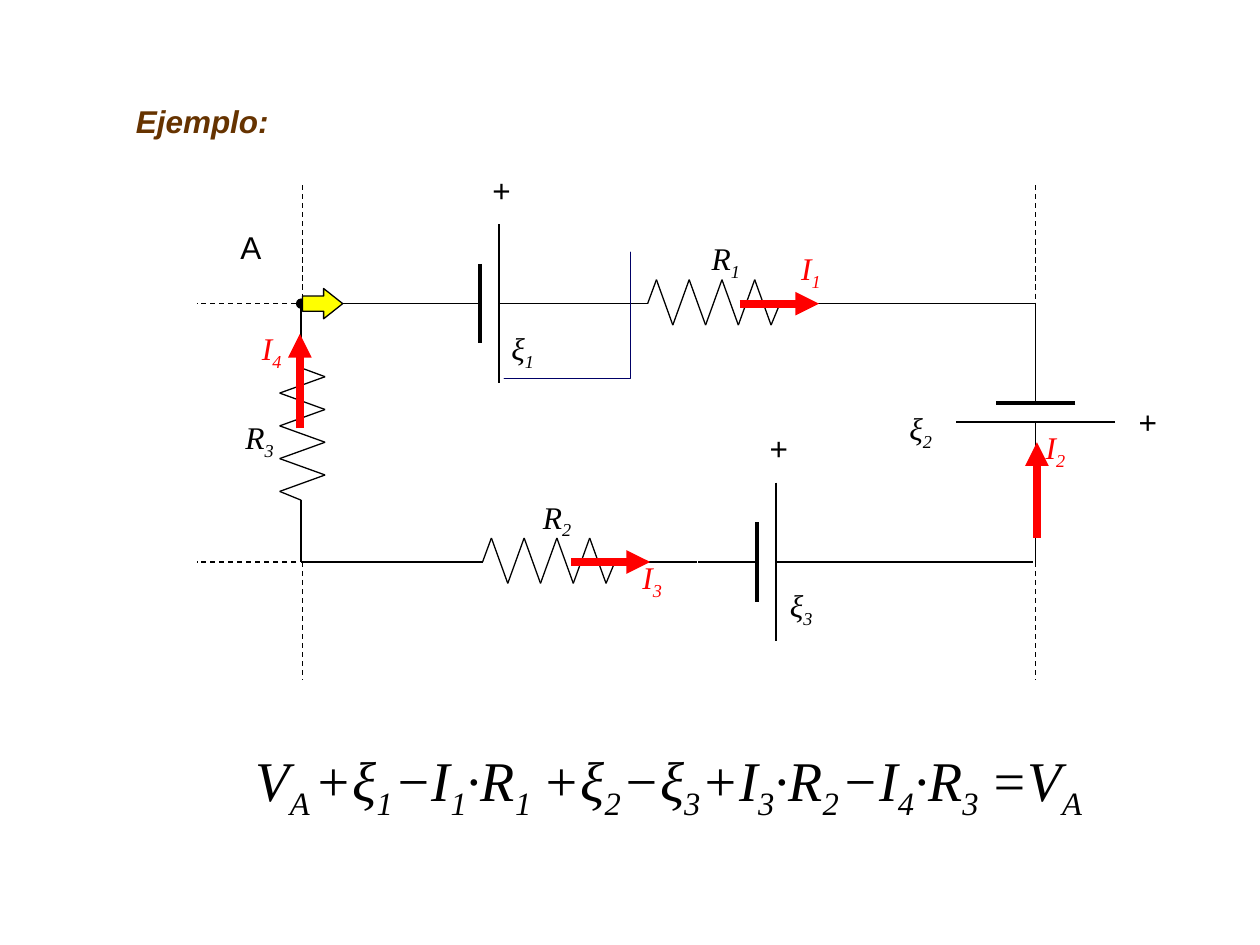
from itertools import pairwise

from lxml.etree import SubElement
from pptx import Presentation
from pptx.dml.color import RGBColor
from pptx.enum.dml import MSO_LINE
from pptx.enum.shapes import MSO_CONNECTOR, MSO_SHAPE
from pptx.oxml.ns import qn
from pptx.util import Inches, Pt

BLACK, RED, BROWN, NAVY, YELLOW = "000000", "FF0000", "663300", "000066", "FFFF00"
SERIF, SANS = "Times New Roman", "Arial"

# Circuit frame: left and right branches, top and bottom branches
LEFT, RIGHT, TOP, BOTTOM = 2.39, 8.22, 2.41, 4.46

# Parts: entry point and direction of travel
RESISTORS = [((4.95, TOP), "right"), ((LEFT, 2.73), "down"), ((3.64, BOTTOM), "right")]
BATTERIES = [((3.34, TOP), "right"), ((RIGHT, 2.73), "down"), ((5.54, BOTTOM), "right")]
WIRES = [
    ((LEFT, TOP), (3.81, TOP)), ((3.97, TOP), (5.07, TOP)), ((6.17, TOP), (RIGHT, TOP)),
    ((RIGHT, TOP), (RIGHT, 2.73)), ((RIGHT, 3.67), (RIGHT, BOTTOM)),
    ((6.63, BOTTOM), (8.2, BOTTOM)), ((5.53, BOTTOM), (5.06, BOTTOM)),
    ((3.64, BOTTOM), (LEFT, BOTTOM)), ((LEFT, BOTTOM), (LEFT, 4.15)),
]
CURRENTS = [
    ((5.87, TOP), (6.5, TOP)), ((4.53, BOTTOM), (5.16, BOTTOM)),
    ((8.23, 4.27), (8.23, 3.51)), ((2.38, 3.4), (2.38, 2.65)),
]
# Outer branches: the network goes on beyond the loop
BRANCHES = [((2.35, y), (1.56, y)) for y in (TOP, BOTTOM)] + [
    ((x, y), (x, y + 0.94)) for x in (2.4, RIGHT) for y in (BOTTOM, 1.47)
]
# Loop sketch: start, then control, control and end point of each curve
LOOP_START = (4.87, 2.45)
LOOP_CURVES = [
    ((4.62, 2.38), (4.45, 3.64), (4.45, 3.43)),
    ((4.45, 3.17), (4.73, 2.96), (5.08, 2.96)),
    ((3.51, 2.96), (3.8, 3.17), (3.8, 3.43)),
    ((3.8, 3.66), (3.58, 2.42), (5.2, 2.46)),
]

# Labels: text ("_" lowers the next character), left, top
PART_LABELS = [
    ("R_1", 5.55, 1.85), ("R_3", 1.85, 3.27), ("R_2", 4.21, 3.9),
    ("ξ_1", 3.96, 2.56), ("ξ_2", 7.12, 3.2), ("ξ_3", 6.17, 4.6),
]
CURRENT_LABELS = [("I_1", 6.26, 1.93), ("I_3", 5, 4.38), ("I_2", 8.2, 3.35), ("I_4", 1.98, 2.56)]
PLUS_SIGNS = [(3.81, 1.31, 0), (8.73, 3.39, 90), (6.01, 3.36, 0)]
# Equation terms: text, left, width
EQUATION = [
    ("V_A", 1.93, 0.95), ("+ξ_1", 2.4, 0.95), ("−I_1·R_1", 3.03, 1.73),
    ("+ξ_2", 4.21, 1.02), ("−ξ_3", 4.84, 1.02), ("+I_3·R_2", 5.47, 1.57),
    ("−I_4·R_3", 6.58, 1.57), ("=V_A", 7.76, 1.57),
]

deck = Presentation()
deck.slide_width, deck.slide_height = Inches(10), Inches(7.5)
page = deck.slides.add_slide(deck.slide_layouts[6])


def rgb(color):
    return RGBColor.from_string(color)


def style_line(line, color, width, head=None, size="med"):
    line.color.rgb = rgb(color)
    line.width = Pt(width)
    if head:
        outline = line._get_or_add_ln()
        SubElement(outline, qn("a:tailEnd"), type=head, w=size, len=size)


def add_line(start, end, color=BLACK, width=0.75, head=None, dashed=False):
    line = page.shapes.add_connector(
        MSO_CONNECTOR.STRAIGHT, *(Inches(value) for value in (*start, *end)))
    style_line(line.line, color, width)
    if dashed:
        line.line.dash_style = MSO_LINE.DASH
    if head:
        style_line(line.line, color, width, head)
    SubElement(line._element.spPr, qn("a:effectLst"))


def add_text(text, left, top, width, height, size=18, font=SERIF, color=BLACK,
             italic=True, bold=False, rotation=0):
    box = page.shapes.add_textbox(*(Inches(value) for value in (left, top, width, height)))
    box.rotation = rotation
    box.text_frame.word_wrap = True
    para = box.text_frame.paragraphs[0]
    first, *rest = text.split("_")
    pieces = [(first, False)]
    for part in rest:
        pieces += [(part[0], True), (part[1:], False)]
    for piece, lowered in pieces:
        if not piece:
            continue
        span = para.add_run()
        span.text = piece
        span.font.name, span.font.size = font, Pt(size)
        span.font.italic, span.font.bold = italic, bold
        span.font.color.rgb = rgb(color)
        if lowered:
            span._r.get_or_add_rPr().set("baseline", "-25000")


def place(entry, direction, along, across):
    x, y = entry
    return (x + along, y + across) if direction == "right" else (x - across, y + along)


def add_resistor(entry, direction):
    peaks = [(0.26 + 0.13 * i, 0.17 if i % 2 else -0.19) for i in range(8)]
    outline = [(0, 0), (0.19, 0), *peaks, (1.24, 0), (1.43, 0)]
    for start, end in pairwise(place(entry, direction, *point) for point in outline):
        add_line(start, end)


def add_battery(entry, direction):
    parts = [
        ((0, 0), (0.47, 0), 0.75), ((0.47, -0.315), (0.47, 0.315), 2.25),
        ((0.62, -0.63), (0.62, 0.63), 1), ((0.62, 0), (1.1, 0), 0.75),
    ]
    for start, end, width in parts:
        add_line(place(entry, direction, *start), place(entry, direction, *end), width=width)


def curve_points(start, first, second, end, steps=24):
    for step in range(1, steps + 1):
        t = step / steps
        weights = ((1 - t) ** 3, 3 * t * (1 - t) ** 2, 3 * t * t * (1 - t), t ** 3)
        yield tuple(sum(w * value for w, value in zip(weights, axis))
                    for axis in zip(start, first, second, end))


# Circuit
for resistor in RESISTORS:
    add_resistor(*resistor)
for battery in BATTERIES:
    add_battery(*battery)
for wire in WIRES:
    add_line(*wire)
add_line((LEFT, 2.73), (LEFT, TOP), head="oval")
for current in CURRENTS:
    add_line(*current, color=RED, width=4.5, head="triangle")
for branch in BRANCHES:
    add_line(*branch, dashed=True)

# Loop sketch
points = [LOOP_START]
for curve in LOOP_CURVES:
    points += curve_points(points[-1], *curve)
builder = page.shapes.build_freeform(*points[0], scale=Inches(1))
builder.add_line_segments(points[1:], close=False)
loop = builder.convert_to_shape()
loop.shadow.inherit = False
loop.fill.background()
style_line(loop.line, NAVY, 0.25, "arrow", "lg")

# Labels
for text, left, top in PART_LABELS:
    add_text(text, left, top, 1.1, 0.44)
for text, left, top in CURRENT_LABELS:
    add_text(text, left, top, 0.94, 0.44, color=RED)
for left, top, rotation in PLUS_SIGNS:
    add_text("+", left, top, 0.79, 0.4, font=SANS, italic=False, rotation=rotation)
add_text("A", 1.81, 1.76, 1.1, 0.4, font=SANS, italic=False)
add_text("Ejemplo:", 0.98, 0.76, 2.76, 0.4, font=SANS, color=BROWN, bold=True)

# Starting direction at A
arrow = page.shapes.add_shape(
    MSO_SHAPE.RIGHT_ARROW, Inches(2.4), Inches(2.29), Inches(0.32), Inches(0.24))
arrow.adjustments[0], arrow.adjustments[1] = 0.5, 0.63
arrow.shadow.inherit = False
arrow.fill.solid()
arrow.fill.fore_color.rgb = rgb(YELLOW)
style_line(arrow.line, BLACK, 0.75)

# Equation
for text, left, width in EQUATION:
    add_text(text, left, 5.87, width, 0.71, size=32)

deck.save("out.pptx")
